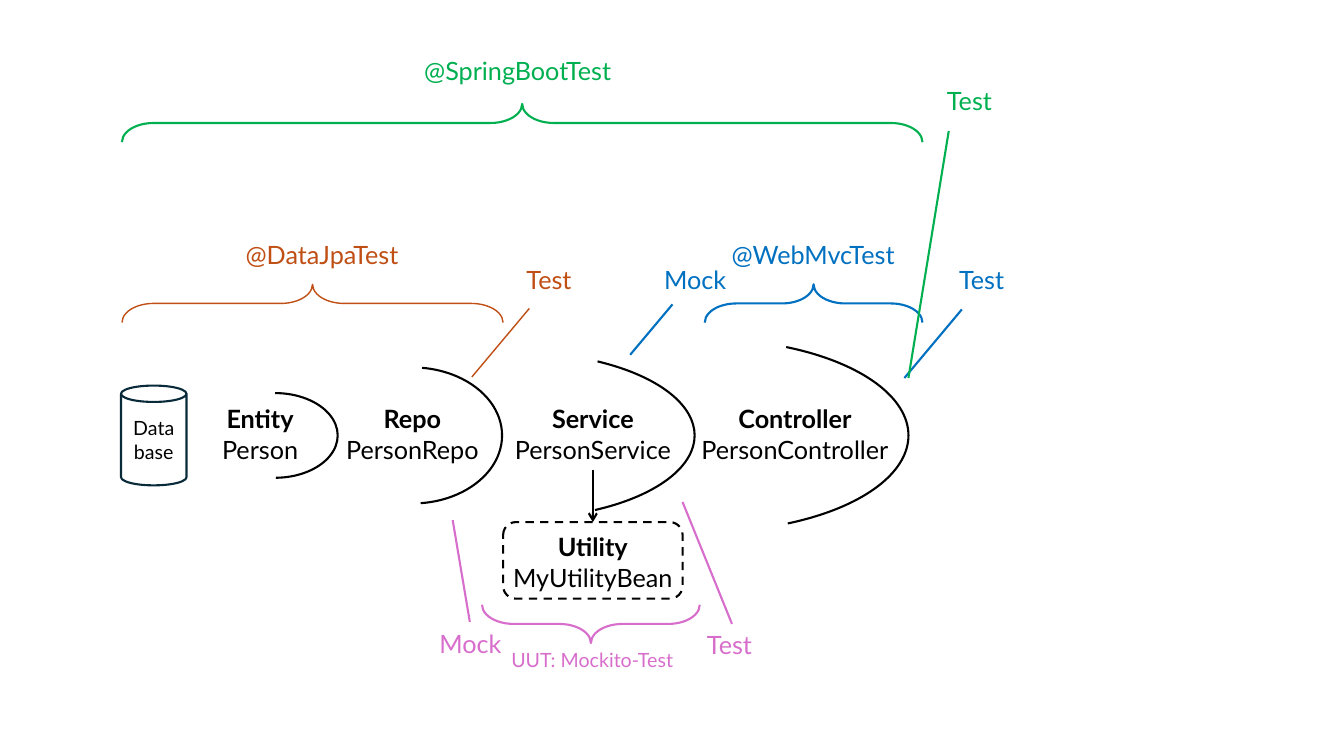
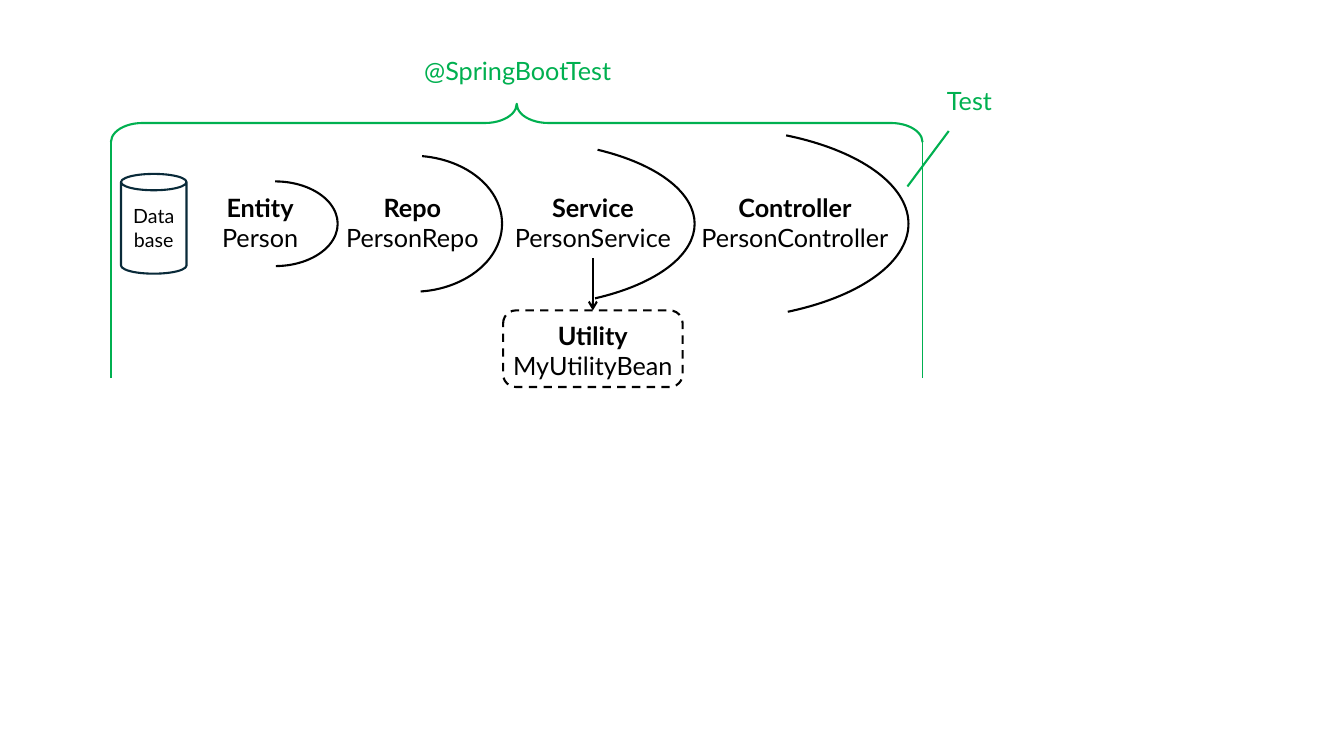
import pptx
import pptx.util
from pptx.dml.color import RGBColor
from pptx.enum.dml import MSO_LINE
from pptx.enum.shapes import MSO_CONNECTOR, MSO_SHAPE
from pptx.enum.text import MSO_ANCHOR, PP_ALIGN
from pptx.oxml import parse_xml
from pptx.oxml.ns import nsdecls

BLACK = RGBColor(0x00, 0x00, 0x00)
NAVY = RGBColor(0x09, 0x2A, 0x39)
GREEN = RGBColor(0x00, 0xB0, 0x50)
ORANGE = RGBColor(0xC0, 0x4F, 0x15)
BLUE = RGBColor(0x00, 0x70, 0xC0)
PINK = RGBColor(0xD8, 0x6E, 0xCC)
FONT = "Lato"

# Grid of square cells, 133.3 columns by 75 rows; all positions are in cells
CELL = pptx.util.Inches(0.1)
BRACE_DEPTH = 3.8
LINE_HEIGHT = 4
NAME_HEIGHT = 7.1
SERVICE_X = 58.8

prs = pptx.Presentation()
prs.slide_width = pptx.util.Inches(13.33)
prs.slide_height = pptx.util.Inches(7.5)


def add_outline(slide, preset, center_x, center_y, width, height, color, weight=1.5):
    """Add an unfilled shape around a centre given in cells."""
    box = [round(n * CELL) for n in
           (center_x - width / 2, center_y - height / 2, width, height)]
    shape = slide.shapes.add_shape(preset, *box)
    shape.shadow.inherit = False
    shape.fill.background()
    shape.line.color.rgb = color
    shape.line.width = pptx.util.Pt(weight)
    return shape


def write_text(shape, lines, size, color):
    """Write centred lines; the first of several is bold."""
    frame = shape.text_frame
    frame.word_wrap = True
    frame.text = "\n".join(lines)
    for number, paragraph in enumerate(frame.paragraphs):
        paragraph.alignment = PP_ALIGN.CENTER
        paragraph.font.name = FONT
        paragraph.font.size = pptx.util.Pt(size)
        paragraph.font.color.rgb = color
        paragraph.font.bold = number == 0 and len(lines) > 1


# Layers: lines of text, centre, width
layers = [
    (("Entity", "Person"), 25.8, 10),
    (("Repo", "PersonRepo"), 40.9, 17.8),
    (("Service", "PersonService"), SERVICE_X, 17.8),
    (("Controller", "PersonController"), 78.85, 22.3),
]

# Layer arcs: centre, width, height, start and end angle in degrees
arcs = [
    (27.3, 12.4, 8.4, 270, 89.05),
    (40.9, 17.8, 13.5, 278.18, 82.99),
    (51.2, 35.4, 16.5, 317.72, 43.41),
    (70, 40.2, 19.1, 312.28, 47.04),
]

# Scopes of tests on each slide
# braces: left, top, width, rotation, colour, weight
# captions: text, centre x, top, width, size, colour
# pointers: from x, y, to x, y, colour, weight
spring_caption = ("@SpringBootTest", 51.35, 5, 22.3, 18, GREEN)
spring_test = ("Test", 96.15, 8, 9.9, 18, GREEN)
scenes = [
    {
        "middle": 43.2,
        "braces": [
            (12.1, 10.3, 79.4, 270, GREEN, 1.5),
            (12.1, 28.2, 37.8, 270, ORANGE, 1),
            (69.9, 28.2, 21.6, 270, BLUE, 1.5),
            (47.8, 60, 21.6, 90, PINK, 1.5),
        ],
        "captions": [
            spring_caption,
            spring_test,
            ("@DataJpaTest", 31.95, 23.3, 22.3, 18, ORANGE),
            ("Test", 54.45, 25.7, 9.9, 18, ORANGE),
            ("@WebMvcTest", 80.65, 23.3, 22.3, 18, BLUE),
            ("Mock", 68.95, 25.7, 9.9, 18, BLUE),
            ("Test", 97.35, 25.7, 9.9, 18, BLUE),
            ("UUT: Mockito-Test", 58.75, 63.8, 22.3, 14, PINK),
            ("Mock", 46.65, 61.8, 9.9, 18, PINK),
            ("Test", 72.35, 61.9, 9.9, 18, PINK),
        ],
        "pointers": [
            (66.7, 30.2, 62.5, 35.2, BLUE, 1.5),
            (95.4, 30.7, 89.7, 37.5, BLUE, 1.5),
            (52.5, 30.6, 46.8, 37.4, ORANGE, 1),
            (94.1, 13, 90.1, 37.5, GREEN, 1.5),
            (46.6, 61.7, 44.9, 51.6, PINK, 1.5),
            (67.7, 49.8, 72.6, 61.9, PINK, 1.5),
        ],
    },
    {
        "middle": 22.2,
        "braces": [(11, 10.3, 80.5, 270, GREEN, 1.5)],
        "captions": [spring_caption, spring_test],
        "pointers": [
            (94.1, 13, 90, 18.5, GREEN, 1.5),
            (11, 37.5, 11, 14, GREEN, 1),
            (91.5, 37.5, 91.5, 14, GREEN, 1),
        ],
    },
]

for scene in scenes:
    slide = prs.slides.add_slide(prs.slide_layouts[6])
    middle = scene["middle"]

    # Database, layer arcs and utility box
    database = add_outline(slide, MSO_SHAPE.CAN, 15.25, middle, 6.5, 9.9, NAVY)
    write_text(database, ["Database"], 14, BLACK)
    database.text_frame.vertical_anchor = MSO_ANCHOR.MIDDLE
    for center_x, width, height, start, end in arcs:
        arc = add_outline(slide, MSO_SHAPE.ARC, center_x, middle, width, height, BLACK)
        # One degree is 60000 units, and an adjustment of 1 is 100000
        arc.adjustments[0] = start * 0.6
        arc.adjustments[1] = end * 0.6
    utility = add_outline(slide, MSO_SHAPE.ROUNDED_RECTANGLE,
                          SERVICE_X, middle + 12.4, 17.8, 7.6, BLACK)
    utility.line.dash_style = MSO_LINE.DASH

    # Braces, turned to lie flat
    for left, top, width, rotation, color, weight in scene["braces"]:
        brace = add_outline(slide, MSO_SHAPE.RIGHT_BRACE, left + width / 2,
                            top + BRACE_DEPTH / 2, BRACE_DEPTH, width, color, weight)
        brace.rotation = rotation
        brace.adjustments[0] = 0.826
        brace.adjustments[1] = 0.5

    # Layer names and captions
    name_top = middle - NAME_HEIGHT / 2 - 0.1
    texts = [(lines, x, name_top, width, NAME_HEIGHT, 18, BLACK)
             for lines, x, width in layers]
    texts.append((("Utility", "MyUtilityBean"), SERVICE_X, name_top + 12.7,
                  22.3, NAME_HEIGHT, 18, BLACK))
    texts += [([caption], x, top, width, LINE_HEIGHT, size, color)
              for caption, x, top, width, size, color in scene["captions"]]
    for lines, center_x, top, width, height, size, color in texts:
        box = [round(n * CELL) for n in (center_x - width / 2, top, width, height)]
        write_text(slide.shapes.add_textbox(*box), lines, size, color)

    # Pointers, and the arrow from the service to its utility
    service_arrow = (SERVICE_X, middle + 3.4, SERVICE_X, middle + 8.6, BLACK, 1.5)
    for *ends, color, weight in scene["pointers"] + [service_arrow]:
        pointer = slide.shapes.add_connector(
            MSO_CONNECTOR.STRAIGHT, *[round(n * CELL) for n in ends])
        pointer.line.color.rgb = color
        pointer.line.width = pptx.util.Pt(weight)
        if color == BLACK:
            pointer.line._get_or_add_ln().append(
                parse_xml(f'<a:tailEnd {nsdecls("a")} type="arrow"/>'))
        pointer._element.spPr.append(parse_xml(f'<a:effectLst {nsdecls("a")}/>'))

prs.save("out.pptx")
